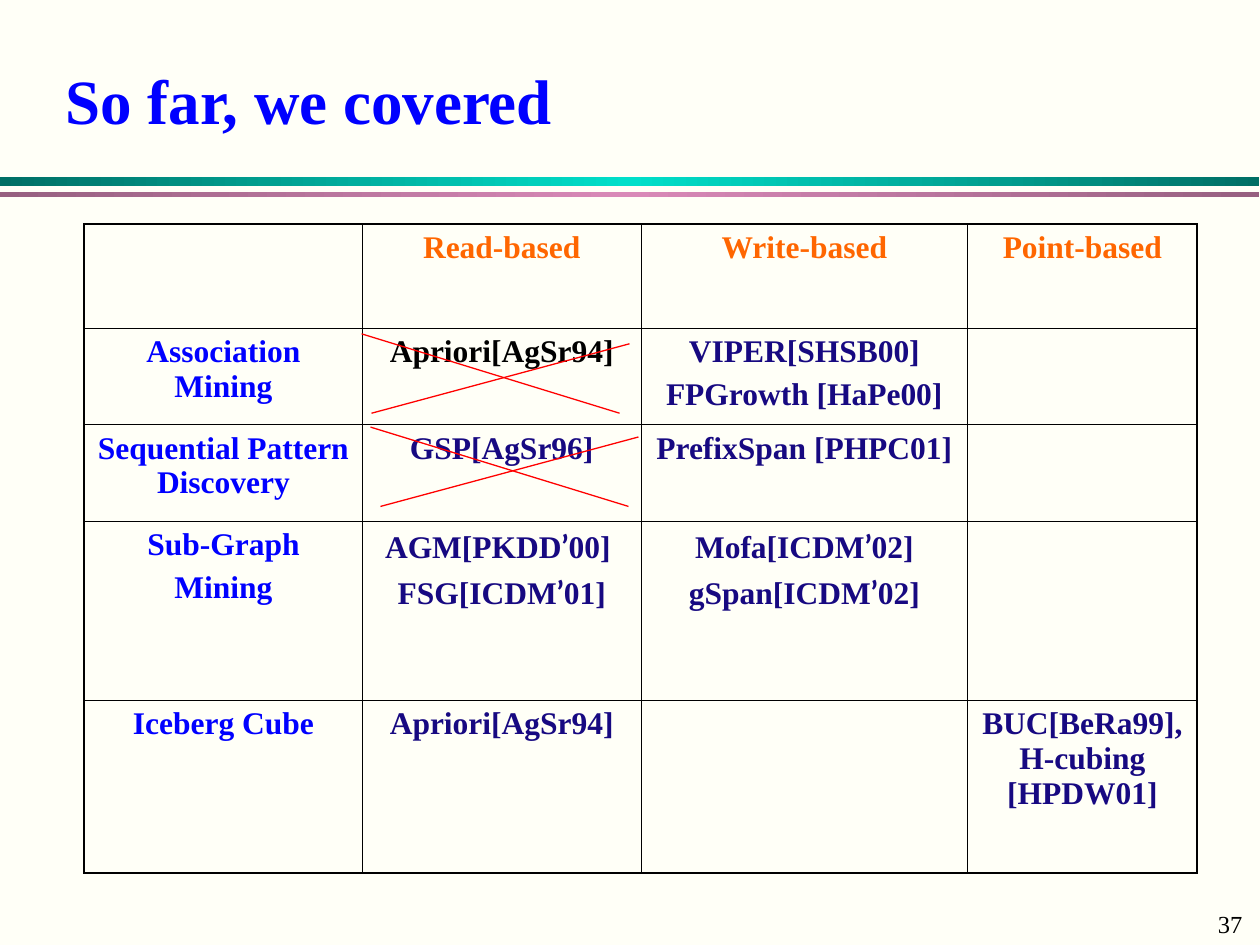
from copy import deepcopy

from lxml import etree
from pptx import Presentation
from pptx.dml.color import RGBColor
from pptx.enum import shapes, text
from pptx.oxml import ns
from pptx.util import Cm, Pt

FONT = "Times New Roman"
APOSTROPHE_FONT = "Lato"
COLORS = {
    "background": "FFFFF7", "title": "0000FF", "header": "FF6600",
    "method": "170981", "black": "000000", "cross": "FF0000",
    "teal": "006F65", "bright teal": "00DFCA",
    "mauve": "976080", "pink": "D989B8",
}
COLUMN_WIDTHS = [5.61, 5.61, 6.59, 4.62]
ROW_HEIGHTS = [2.09, 1.95, 1.95, 3.6, 3.49]
# One string per cell, one line per paragraph
ROWS = [
    ["", "Read-based", "Write-based", "Point-based"],
    ["Association Mining", "Apriori[AgSr94]", "VIPER[SHSB00]\nFPGrowth [HaPe00]", ""],
    ["Sequential Pattern Discovery", "GSP[AgSr96]", "PrefixSpan [PHPC01]", ""],
    ["Sub-Graph\nMining", "AGM[PKDD’00] \nFSG[ICDM’01]", "Mofa[ICDM’02]\ngSpan[ICDM’02]", ""],
    ["Iceberg Cube", "Apriori[AgSr94]", "", "BUC[BeRa99], H-cubing [HPDW01]"],
]


def rgb(name):
    return RGBColor.from_string(COLORS[name])


def format_run(run, size, color, bold=False, font=FONT):
    run.font.name = font
    run.font.size = Pt(size)
    run.font.bold = bold
    run.font.color.rgb = rgb(color)


def add_title(slide, left, top, width, height):
    title = slide.shapes.title
    title.left, title.top, title.width, title.height = map(Cm, (left, top, width, height))
    frame = title.text_frame
    frame.text = "So far, we covered"
    frame.auto_size = text.MSO_AUTO_SIZE.NONE
    frame.vertical_anchor = text.MSO_ANCHOR.MIDDLE
    paragraph = frame.paragraphs[0]
    paragraph.alignment = text.PP_ALIGN.LEFT
    format_run(paragraph.runs[0], 36, "title", bold=True)


def add_band(slide, left, top, width, height, edge, middle):
    band = slide.shapes.add_shape(
        shapes.MSO_SHAPE.RECTANGLE, Cm(left), Cm(top), Cm(width), Cm(height))
    band.shadow.inherit = False
    band.line.fill.background()
    band.fill.gradient()
    band.fill.gradient_angle = 0
    for stop in band.fill.gradient_stops:
        stop.color.rgb = rgb(edge)
    # A third stop in the centre
    stop_list = band._element.spPr.find(".//" + ns.qn("a:gsLst"))
    stop_list.insert(1, deepcopy(stop_list[0]))
    center = band.fill.gradient_stops[1]
    center.position = 0.5
    center.color.rgb = rgb(middle)


def add_page_number(slide, left, top, width, height):
    box = slide.shapes.add_textbox(Cm(left), Cm(top), Cm(width), Cm(height))
    box.text_frame.text = "37"
    format_run(box.text_frame.paragraphs[0].runs[0], 14, "black")


def set_border(cell, side, width):
    properties = cell._tc.get_or_add_tcPr()
    line = etree.SubElement(properties, ns.qn("a:ln" + side), w=str(Pt(width)))
    fill = etree.SubElement(line, ns.qn("a:solidFill"))
    etree.SubElement(fill, ns.qn("a:srgbClr"), val=COLORS["black"])


def cell_color(row, column):
    if row == 0:
        return "header"
    if column == 0:
        return "title"
    return "black" if (row, column) == (1, 1) else "method"


def fill_cell(cell, content, color):
    cell.text_frame.text = content
    for paragraph in cell.text_frame.paragraphs:
        paragraph.alignment = text.PP_ALIGN.CENTER
        paragraph.space_before = Pt(4.5)
        before, mark, after = paragraph.text.partition("’")
        if mark:
            # The apostrophe has a font of its own
            paragraph.text = before
            for part in (mark, after):
                paragraph.add_run().text = part
        for run in paragraph.runs:
            font = APOSTROPHE_FONT if run.text == "’" else FONT
            format_run(run, 18, color, bold=True, font=font)


def add_methods_table(slide, left, top):
    row_count, column_count = len(ROWS), len(COLUMN_WIDTHS)
    table = slide.shapes.add_table(
        row_count, column_count, Cm(left), Cm(top),
        Cm(sum(COLUMN_WIDTHS)), Cm(sum(ROW_HEIGHTS))).table
    table.first_row = table.horz_banding = False
    for column, width in zip(table.columns, COLUMN_WIDTHS):
        column.width = Cm(width)
    for row, height in zip(table.rows, ROW_HEIGHTS):
        row.height = Cm(height)
    for i, contents in enumerate(ROWS):
        for j, content in enumerate(contents):
            cell = table.cell(i, j)
            fill_cell(cell, content, cell_color(i, j))
            # Thick outer frame, thin inner grid
            outer = {"L": j == 0, "R": j == column_count - 1,
                     "T": i == 0, "B": i == row_count - 1}
            for side, is_outer in outer.items():
                set_border(cell, side, 1.08 if is_outer else 0.45)
            cell.fill.background()


def add_cross(slide, left, top, width, height):
    inset = 0.2
    strokes = [
        (inset, height, width, inset),
        (width - inset, height, 0, 0),
    ]
    for x1, y1, x2, y2 in strokes:
        line = slide.shapes.add_connector(
            shapes.MSO_CONNECTOR.STRAIGHT,
            Cm(left + x1), Cm(top + y1), Cm(left + x2), Cm(top + y2))
        line.line.color.rgb = rgb("cross")
        line.line.width = Pt(0.75)
        etree.SubElement(line._element.spPr, ns.qn("a:effectLst"))


def main():
    presentation = Presentation()
    presentation.slide_width, presentation.slide_height = Cm(25.4), Cm(19.05)
    slide = presentation.slides.add_slide(presentation.slide_layouts[5])
    slide.background.fill.solid()
    slide.background.fill.fore_color.rgb = rgb("background")

    # Heading and rules
    add_band(slide, 0, 3.56, 25.38, 0.2, "teal", "bright teal")
    add_band(slide, 0, 3.87, 25.38, 0.1, "mauve", "pink")
    add_page_number(slide, 24.3, 18.2, 1.1, 0.85)
    add_title(slide, 1.07, 1.07, 23.3, 1.85)

    # Methods, with the covered ones crossed out
    add_methods_table(slide, 1.7, 4.52)
    for left, top in [(7.29, 6.73), (7.47, 8.61)]:
        add_cross(slide, left, top, 5.4, 1.6)

    presentation.save("out.pptx")


if __name__ == "__main__":
    main()
